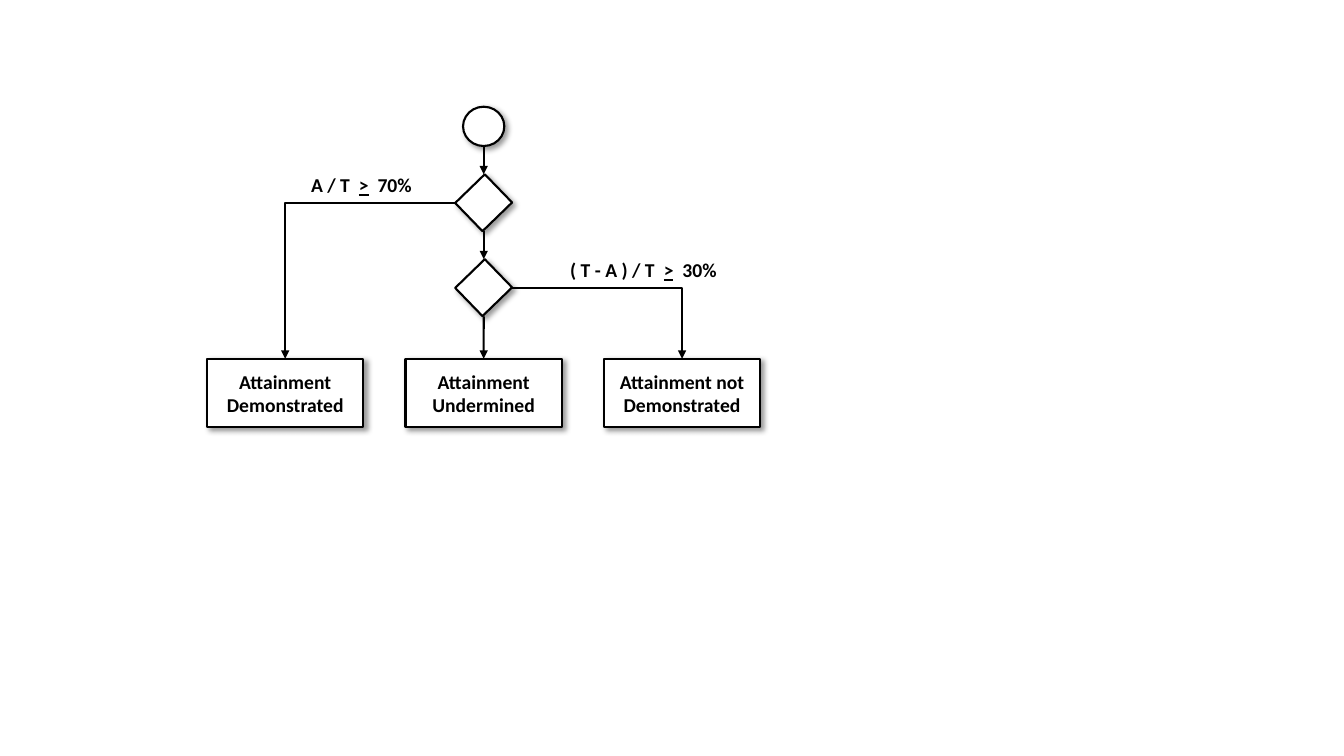
"""Builds a decision flowchart for attainment outcomes."""
from lxml.etree import SubElement
from pptx import Presentation
from pptx.dml.color import RGBColor
from pptx.enum.shapes import MSO_CONNECTOR, MSO_SHAPE
from pptx.enum.text import MSO_ANCHOR, MSO_AUTO_SIZE, PP_ALIGN
from pptx.oxml.ns import qn
from pptx.util import Cm, Pt

BLACK = RGBColor(0, 0, 0)
WHITE = RGBColor(255, 255, 255)

AXIS = 12.19
NODE_WIDTH, NODE_HEIGHT = 1.04, 0.99
START_TOP = 2.69
DECISION_REACH = 0.72
ATTAINED_Y, FAILED_Y = 5.11, 7.25
OUTCOME_TOP, OUTCOME_WIDTH, OUTCOME_HEIGHT = 9.04, 3.94, 1.73
OUTCOME_STEP = 5.0

prs = Presentation()
prs.slide_width, prs.slide_height = Cm(33.87), Cm(19.05)
slide = prs.slides.add_slide(prs.slide_layouts[6])


def add_node(kind, left, top, width, height):
    node = slide.shapes.add_shape(kind, Cm(left), Cm(top), Cm(width), Cm(height))
    node.fill.solid()
    node.fill.fore_color.rgb = WHITE
    node.line.color.rgb = BLACK
    node.line.width = Pt(1.5)
    node.shadow.inherit = False
    effects = node.element.spPr.find(qn("a:effectLst"))
    shadow = SubElement(effects, qn("a:outerShdw"), blurRad=str(Pt(4)),
                        dist=str(Pt(3)), dir="2700000", algn="tl", rotWithShape="0")
    shade = SubElement(shadow, qn("a:srgbClr"), val=str(BLACK))
    SubElement(shade, qn("a:alpha"), val="40000")
    return node


def format_text(paragraph):
    for run in paragraph.runs:
        run.font.name = "Calibri"
        run.font.size = Pt(14)
        run.font.bold = True
        run.font.color.rgb = BLACK


add_node(MSO_SHAPE.OVAL, AXIS - NODE_WIDTH / 2, START_TOP, NODE_WIDTH, NODE_HEIGHT)
for decision_y in (ATTAINED_Y, FAILED_Y):
    decision = add_node(MSO_SHAPE.RECTANGLE, AXIS - NODE_WIDTH / 2,
                        decision_y - NODE_HEIGHT / 2, NODE_WIDTH, NODE_HEIGHT)
    decision.rotation = 315.9

outcomes = []
for column, outcome_text in enumerate((
        "Attainment Demonstrated", "Attainment\nUndermined", "Attainment not Demonstrated")):
    center = AXIS + (column - 1) * OUTCOME_STEP
    outcome = add_node(MSO_SHAPE.RECTANGLE, center - OUTCOME_WIDTH / 2, OUTCOME_TOP,
                       OUTCOME_WIDTH, OUTCOME_HEIGHT)
    outcome.text_frame.text = outcome_text
    outcome.text_frame.vertical_anchor = MSO_ANCHOR.MIDDLE
    for paragraph in outcome.text_frame.paragraphs:
        paragraph.alignment = PP_ALIGN.CENTER
        format_text(paragraph)
    outcomes.append(outcome)
demonstrated, undermined, not_demonstrated = outcomes

for x1, y1, x2, y2, target in (
    (AXIS, START_TOP + NODE_HEIGHT, AXIS, ATTAINED_Y - DECISION_REACH, None),
    (AXIS, ATTAINED_Y + DECISION_REACH, AXIS, FAILED_Y - DECISION_REACH, None),
    (AXIS, FAILED_Y + DECISION_REACH, AXIS, OUTCOME_TOP, undermined),
    (AXIS - DECISION_REACH, ATTAINED_Y, AXIS - OUTCOME_STEP, OUTCOME_TOP, None),
    (AXIS + DECISION_REACH, FAILED_Y, AXIS + OUTCOME_STEP, OUTCOME_TOP, None),
):
    kind = MSO_CONNECTOR.STRAIGHT if x1 == x2 else MSO_CONNECTOR.ELBOW
    arrow = slide.shapes.add_connector(kind, Cm(x1), Cm(y1), Cm(x2), Cm(y2))
    if target:
        arrow.end_connect(target, 0)
    arrow.line.color.rgb = BLACK
    arrow.line.width = Pt(1.5)
    properties = arrow._element.spPr
    if kind == MSO_CONNECTOR.ELBOW:
        properties.find(qn("a:prstGeom")).set("prst", "bentConnector2")
    SubElement(properties.find(qn("a:ln")), qn("a:tailEnd"), type="triangle")
    SubElement(properties, qn("a:effectLst"))

for left, top, width, ratio, threshold in (
    (7.59, 4.24, 3.07, "A / T  ", "  70%"),
    (14.12, 6.38, 4.22, "( T - A ) / T  ", "  30%"),
):
    condition = slide.shapes.add_textbox(Cm(left), Cm(top), Cm(width), Cm(0.86))
    condition.text_frame.word_wrap = False
    condition.text_frame.auto_size = MSO_AUTO_SIZE.SHAPE_TO_FIT_TEXT
    paragraph = condition.text_frame.paragraphs[0]
    for part in (ratio, ">", threshold):
        run = paragraph.add_run()
        run.text = part
        run.font.underline = part == ">"
    format_text(paragraph)

prs.save("out.pptx")
